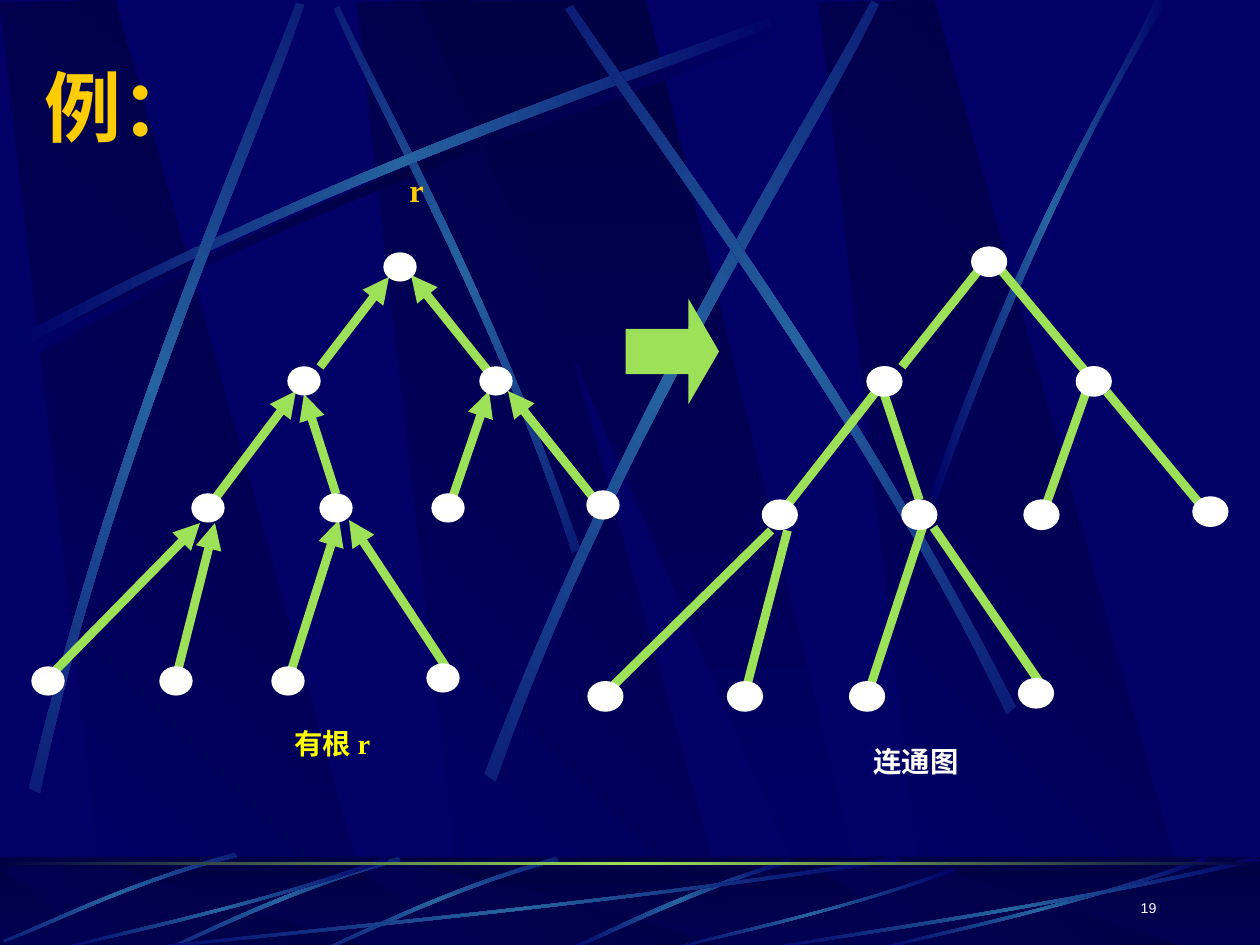
from copy import deepcopy
from math import cos, radians, sin

from lxml import etree
from pptx import Presentation
from pptx.dml.color import RGBColor
from pptx.enum.shapes import MSO_CONNECTOR, MSO_SHAPE
from pptx.enum.text import MSO_ANCHOR, MSO_AUTO_SIZE, PP_ALIGN
from pptx.oxml.ns import qn
from pptx.util import Pt

PX = 914400 / 126
WIDTH, HEIGHT = 1260, 945

NAVY = RGBColor(0x00, 0x00, 0x66)
DARK = RGBColor(0x00, 0x00, 0x44)
BLUE = RGBColor(0x26, 0x63, 0xA0)
GREEN = RGBColor(0x9C, 0xE1, 0x57)
GOLD = RGBColor(0xFF, 0xCC, 0x00)
YELLOW = RGBColor(0xFF, 0xFF, 0x00)
WHITE = RGBColor(0xFF, 0xFF, 0xFF)
GLOW = (NAVY, BLUE, NAVY)

CJK = "Noto Sans CJK SC"
SERIF = "Times New Roman"

# Background panels: outline and the left edges it is repeated at
PANEL_LEFTS = (357, 0, 819)
PANEL = ((108, 945), (380, 947), (115, 0), (0, 3))
BEAM = ((420, 1), (829, 946), (874, 946), (646, 0))
FOOTER_PANEL = ((108, 950), (380, 951), (115, 867), (0, 867))
FOOTER_BEAM = ((420, 867), (829, 951), (874, 951), (646, 867))
FOOTER = (0, 857, WIDTH, 94)

# Ribbons: two Bezier curves of four points each, there and back
ARC = ((17, 337), (350, 159), (652, 64), (781, 13),
       (785, 20), (657, 77), (312, 180), (21, 349))
CROSSING = ((580, 549), (493, 295), (381, 97), (339, 6),
            (334, 9), (372, 100), (501, 325), (572, 553))
RIBBONS = (  # rotation, centre, points
    (311.7, (168, 398), ((29, 788), (117, 421), (248, 132), (296, 3),
                         (304, 5), (261, 137), (108, 464), (40, 793))),
    (321.6, (684, 391), ((485, 774), (627, 403), (804, 129), (872, 1),
                         (879, 5), (818, 136), (612, 447), (496, 782))),
    (34.7, (790, 360), ((1016, 706), (844, 369), (650, 120), (573, 5),
                        (566, 9), (639, 127), (863, 410), (1007, 714))),
    (0, (0, 0), ((930, 496), (1026, 218), (1119, 83), (1155, 0),
                 (1168, 0), (1053, 183), (969, 406), (937, 500))),
)
FOOTER_RIBBON = ((557, 857), (447, 888), (362, 932), (323, 949),
                 (324, 951), (363, 936), (460, 886), (559, 861))
FOOTER_RIBBONS = (  # rotation, centre, left shift, points
    (0, (0, 0), 0, ((790, 859), (677, 893), (601, 935), (564, 950),
                    (571, 951), (617, 930), (719, 882), (791, 863))),
    (315, (441, 904), 0, FOOTER_RIBBON),
    (315, (283, 904), -158, FOOTER_RIBBON),
    (315, (120, 899), 0, ((234, 853), (125, 882), (42, 925), (3, 940),
                          (4, 942), (43, 929), (139, 879), (237, 857))),
)
# Strands share one outline, given as fractions of their frames
STRAND = ((1, .04), (.57, .57), (.17, .85), (.01, 1),
          (0, .99), (.16, .81), (.62, .51), (.99, 0))
STRAND_FRAMES = ((126, 857, 777, 94), (53, 857, 336, 94), (664, 868, 291, 83),
                 (872, 857, 336, 94), (756, 857, 504, 94))

# The tree: edges run from child to parent, nodes are top left corners
EDGES = (
    ((320, 367), (389, 277)), ((496, 381), (411, 275)),
    ((208, 508), (296, 391)), ((336, 494), (304, 394)),
    ((592, 496), (508, 391)), ((449, 508), (489, 391)),
    ((48, 678), (200, 523)), ((176, 678), (215, 523)),
    ((289, 678), (339, 520)), ((446, 667), (349, 520)),
)
NODES = ((384, 253), (288, 367), (480, 367), (192, 494), (432, 494), (320, 494),
         (587, 491), (32, 667), (272, 667), (160, 667), (427, 664))
NODE_SIZE = (32, 28)
TREE_ORIGIN = (32, 253)
TREES = (  # origin, horizontal and vertical scale, directed
    (TREE_ORIGIN, (1, 1), True),
    ((588, 247), (1.09, 1.05), False),
)

LEFT, RIGHT = PP_ALIGN.LEFT, PP_ALIGN.RIGHT
TOP, MIDDLE, BOTTOM = MSO_ANCHOR.TOP, MSO_ANCHOR.MIDDLE, MSO_ANCHOR.BOTTOM
TEXTS = (  # frame, runs of (text, font), size, colour, raised, anchor, alignment
    ((32, 53, 1071, 105), [("例：", "Montserrat")], 44, GOLD, False, MIDDLE, LEFT),
    ((397, 157, 50, 79), [("r", SERIF)], 32, GOLD, True, TOP, LEFT),
    ((282, 714, 174, 72), [("有根 ", CJK), ("r", SERIF)], 28, YELLOW, True, TOP, LEFT),
    ((861, 732, 189, 72), [("连通图", CJK)], 28, WHITE, True, TOP, LEFT),
    ((907, 869, 262, 63), [("19", "Arial")], 14, WHITE, True, BOTTOM, RIGHT),
)

presentation = Presentation()
presentation.slide_width = round(WIDTH * PX)
presentation.slide_height = round(HEIGHT * PX)
slide = presentation.slides.add_slide(presentation.slide_layouts[6])
slide.background.fill.solid()
slide.background.fill.fore_color.rgb = NAVY
shapes = slide.shapes


def emu(*lengths):
    return [round(length * PX) for length in lengths]


def shift(points, dx, dy=0):
    return [(x + dx, y + dy) for x, y in points]


def fill_gradient(shape, colors, angle):
    """Spread the colours evenly; the angle runs clockwise."""
    shape.fill.gradient()
    stop_list = shape._element.spPr.find(".//" + qn("a:gsLst"))
    while len(stop_list) < len(colors):
        stop_list.append(deepcopy(stop_list[0]))
    for index, (stop, color) in enumerate(zip(shape.fill.gradient_stops, colors)):
        stop.color.rgb = color
        stop.position = index / (len(colors) - 1)
    shape.fill.gradient_angle = (360 - angle) % 360


def add_outline(points, colors, angle):
    start, *others = [emu(*point) for point in points]
    builder = shapes.build_freeform(*start, scale=1.0)
    builder.add_line_segments(others, close=True)
    shape = builder.convert_to_shape()
    shape.shadow.inherit = False
    shape.line.fill.background()
    fill_gradient(shape, colors, angle)
    return shape


def turn(points, centre, angle):
    c, s = cos(radians(angle)), sin(radians(angle))
    for x, y in shift(points, -centre[0], -centre[1]):
        yield centre[0] + x * c - y * s, centre[1] + x * s + y * c


def add_ribbon(points, rotation=0, centre=(0, 0), colors=GLOW):
    """Draw the ribbon lying flat, bend its two long sides, then rotate it."""
    shape = add_outline(list(turn(points, centre, -rotation)), colors, 0)
    lines = list(shape._element.spPr.iter(qn("a:lnTo")))
    for side in (lines[:3], lines[4:]):
        curve = etree.Element(qn("a:cubicBezTo"))
        side[0].addprevious(curve)
        for line in side:
            curve.append(line[0])
            line.getparent().remove(line)
    shape.rotation = rotation


def add_preset(kind, frame, color=None, line_width=None):
    shape = shapes.add_shape(kind, *emu(*frame))
    shape.shadow.inherit = False
    if color is not None:
        shape.fill.solid()
        shape.fill.fore_color.rgb = color
    if line_width:
        shape.line.color.rgb = color
        shape.line.width = Pt(line_width)
    else:
        shape.line.fill.background()
    return shape


def add_edge(child, parent, directed):
    edge = shapes.add_connector(MSO_CONNECTOR.STRAIGHT, *emu(*child, *parent))
    edge.line.color.rgb = GREEN
    edge.line.width = Pt(5)
    if directed:
        etree.SubElement(edge.line._get_or_add_ln(), qn("a:tailEnd"), type="triangle")
    etree.SubElement(edge._element.spPr, qn("a:effectLst"))


def add_tree(origin, scale, directed):
    def place(point):
        return [o + (p - base) * s
                for o, p, base, s in zip(origin, point, TREE_ORIGIN, scale)]

    for child, parent in EDGES:
        add_edge(place(child), place(parent), directed)
    size = [length * s for length, s in zip(NODE_SIZE, scale)]
    for node in NODES:
        add_preset(MSO_SHAPE.OVAL, (*place(node), *size), WHITE, 0.75)


def add_text(frame, runs, size, color, raised, anchor, alignment):
    text_frame = shapes.add_textbox(*emu(*frame)).text_frame
    text_frame.word_wrap = True
    if anchor != BOTTOM:
        text_frame.auto_size = MSO_AUTO_SIZE.SHAPE_TO_FIT_TEXT
    text_frame.vertical_anchor = anchor
    paragraph = text_frame.paragraphs[0]
    paragraph.alignment = alignment
    paragraph.font.size = Pt(size)
    paragraph.font.bold = anchor != BOTTOM
    paragraph.font.color.rgb = color
    for text, font in runs:
        run = paragraph.add_run()
        run.text = text
        run.font.name = font
        properties = run._r.get_or_add_rPr()
        etree.SubElement(properties, qn("a:ea"), typeface=CJK)
        if raised:
            properties.set("baseline", "30000")


def add_panels(panel, beam):
    for left in PANEL_LEFTS:
        add_outline(shift(panel, left), (NAVY, DARK), 315)
    add_outline(beam, (DARK, NAVY), 90)


add_panels(PANEL, BEAM)
add_ribbon(shift(ARC, 8, 10), colors=(NAVY, DARK, NAVY))
add_ribbon(CROSSING, 45, (456, 280))
add_ribbon(ARC)
for rotation, centre, points in RIBBONS:
    add_ribbon(points, rotation, centre)

fill_gradient(add_preset(MSO_SHAPE.RECTANGLE, FOOTER), (DARK, NAVY), 90)
add_panels(FOOTER_PANEL, FOOTER_BEAM)
veil = add_preset(MSO_SHAPE.RECTANGLE, FOOTER, DARK)
veil_color = veil._element.spPr.find(qn("a:solidFill"))[0]
etree.SubElement(veil_color, qn("a:alpha"), val="50000")
for rotation, centre, dx, points in FOOTER_RIBBONS:
    add_ribbon(shift(points, dx), rotation, centre)
for left, top, width, height in STRAND_FRAMES:
    add_ribbon([(left + x * width, top + y * height) for x, y in STRAND])
rule = add_preset(MSO_SHAPE.RECTANGLE, (0, 862, WIDTH, 3))
fill_gradient(rule, (DARK, GREEN, DARK), 0)

for tree in TREES:
    add_tree(*tree)
arrow = add_preset(MSO_SHAPE.RIGHT_ARROW, (630, 315, 84, 73), GREEN, 5)
arrow.adjustments[0], arrow.adjustments[1] = 0.5, 0.29
etree.SubElement(arrow.line._get_or_add_ln(), qn("a:miter"), lim="800000")
for text in TEXTS:
    add_text(*text)

presentation.save("out.pptx")
